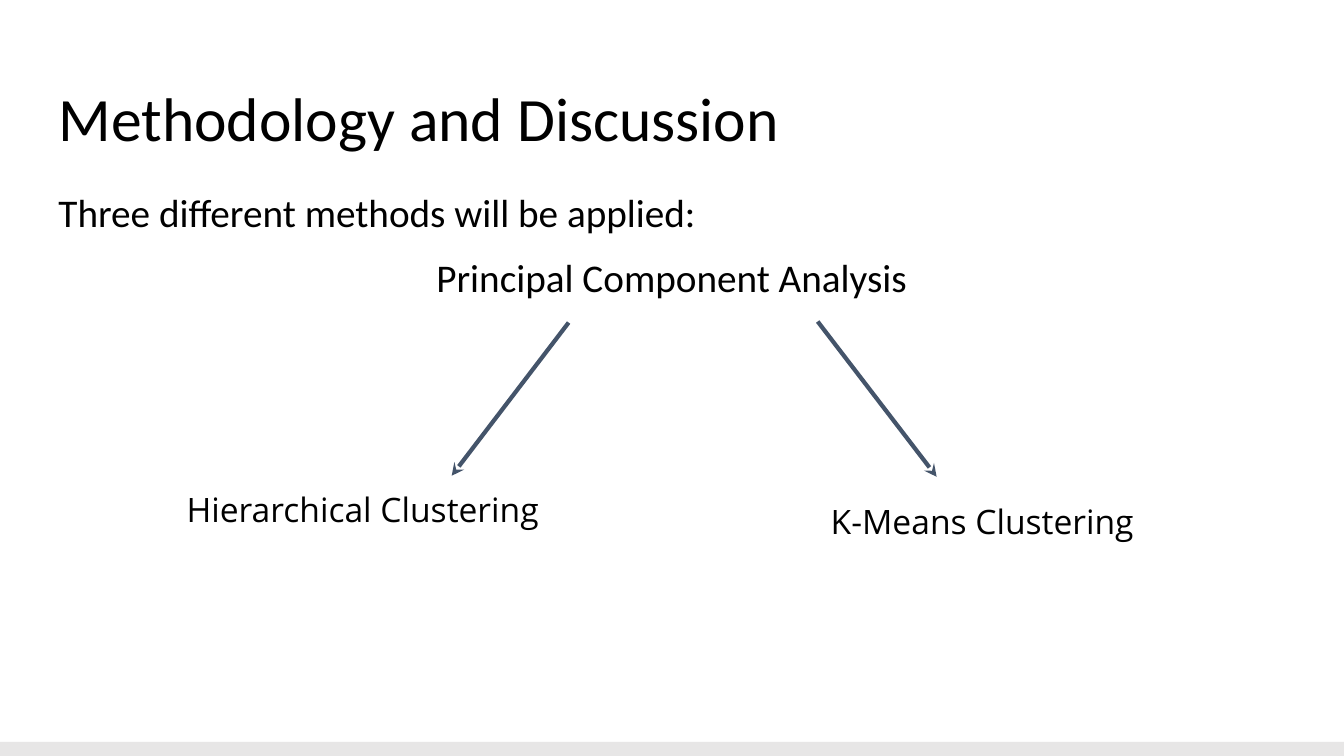
from dataclasses import dataclass

from lxml.etree import SubElement
from pptx import Presentation
from pptx.dml.color import RGBColor
from pptx.enum.shapes import MSO_CONNECTOR, MSO_SHAPE
from pptx.enum.text import MSO_ANCHOR, MSO_AUTO_SIZE, PP_ALIGN
from pptx.oxml.ns import qn
from pptx.shapes.autoshape import Shape
from pptx.slide import Slide
from pptx.util import Inches, Pt


@dataclass(frozen=True)
class Line:
    text: str
    size: int
    font: str = "Calibri"
    align: PP_ALIGN = PP_ALIGN.LEFT
    pitch: float = 0.9
    gap: int = 0


@dataclass(frozen=True)
class Block:
    left: float
    top: float
    width: float
    height: float
    lines: tuple[Line, ...]
    anchor: MSO_ANCHOR = MSO_ANCHOR.TOP


@dataclass(frozen=True)
class Arrow:
    start: tuple[float, float]
    end: tuple[float, float]


TITLE = Block(0.45, 0.46, 12.42, 1.21,
              (Line("Methodology and Discussion", 44),), MSO_ANCHOR.BOTTOM)
BLOCKS = (
    Block(0.45, 1.79, 12.42, 4.89, (
        Line("Three different methods will be applied:", 28),
        Line("Principal Component Analysis", 28, align=PP_ALIGN.CENTER, gap=16),
    )),
    Block(1.72, 4.72, 3.92, 0.91,
          (Line("Hierarchical Clustering", 24, "Open Sans", pitch=1.0),)),
    Block(8.11, 4.84, 4.24, 0.67,
          (Line("K-Means Clustering", 24, "Open Sans", pitch=1.0),)),
)
ARROWS = (
    Arrow((8.11, 3.19), (9.29, 4.73)),
    Arrow((5.64, 3.2), (4.48, 4.72)),
)


def color(code: str) -> RGBColor:
    return RGBColor.from_string(code)


def write(shape: Shape, block: Block) -> None:
    shape.left, shape.top = Inches(block.left), Inches(block.top)
    shape.width, shape.height = Inches(block.width), Inches(block.height)
    frame = shape.text_frame
    frame.word_wrap = True
    frame.auto_size = MSO_AUTO_SIZE.NONE
    frame.vertical_anchor = block.anchor
    frame.margin_left = frame.margin_right = Inches(0.13)
    frame.margin_top = frame.margin_bottom = Inches(0.13)
    for index, line in enumerate(block.lines):
        para = frame.add_paragraph() if index else frame.paragraphs[0]
        para.alignment = line.align
        para.line_spacing = line.pitch
        para.space_before = para.space_after = Pt(line.gap)
        run = para.add_run()
        run.text = line.text
        run.font.name = line.font
        run.font.size = Pt(line.size)
        run.font.color.rgb = color("000000")


def link(slide: Slide, arrow: Arrow) -> None:
    points = [Inches(value) for value in (*arrow.start, *arrow.end)]
    shape = slide.shapes.add_connector(MSO_CONNECTOR.STRAIGHT, *points)
    shape.line.color.rgb = color("44546A")
    shape.line.width = Pt(3)
    SubElement(shape.line._get_or_add_ln(), qn("a:tailEnd"), type="stealth")
    SubElement(shape._element.spPr, qn("a:effectLst"))


def main() -> None:
    deck = Presentation()
    deck.slide_width, deck.slide_height = Inches(13.33), Inches(7.5)
    slide = deck.slides.add_slide(deck.slide_layouts[5])
    band = slide.shapes.add_shape(
        MSO_SHAPE.RECTANGLE, 0, Inches(7.36), Inches(13.33), Inches(0.14))
    band.shadow.inherit = False
    band.fill.solid()
    band.fill.fore_color.rgb = color("E7E6E6")
    band.line.fill.background()
    write(slide.shapes.title, TITLE)
    for block in BLOCKS:
        write(slide.shapes.add_textbox(0, 0, 0, 0), block)
    for arrow in ARROWS:
        link(slide, arrow)
    deck.save("out.pptx")


if __name__ == "__main__":
    main()
